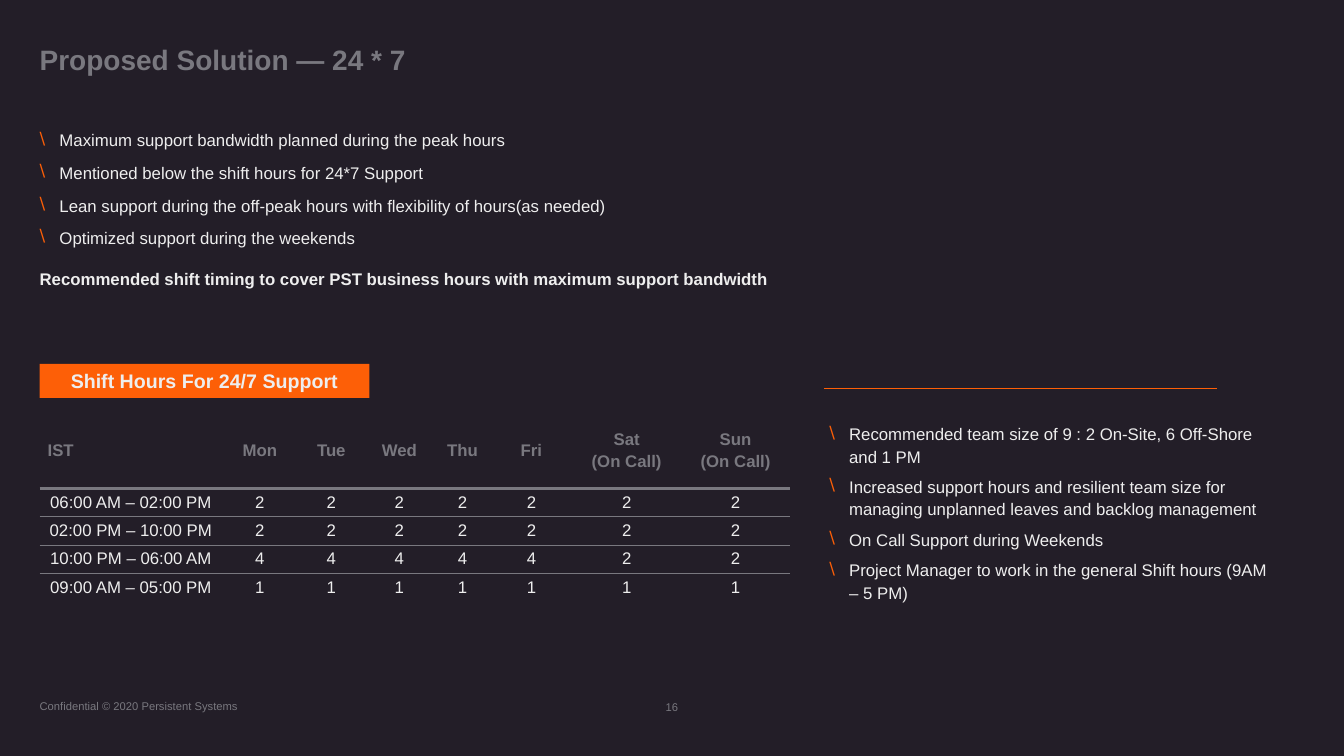
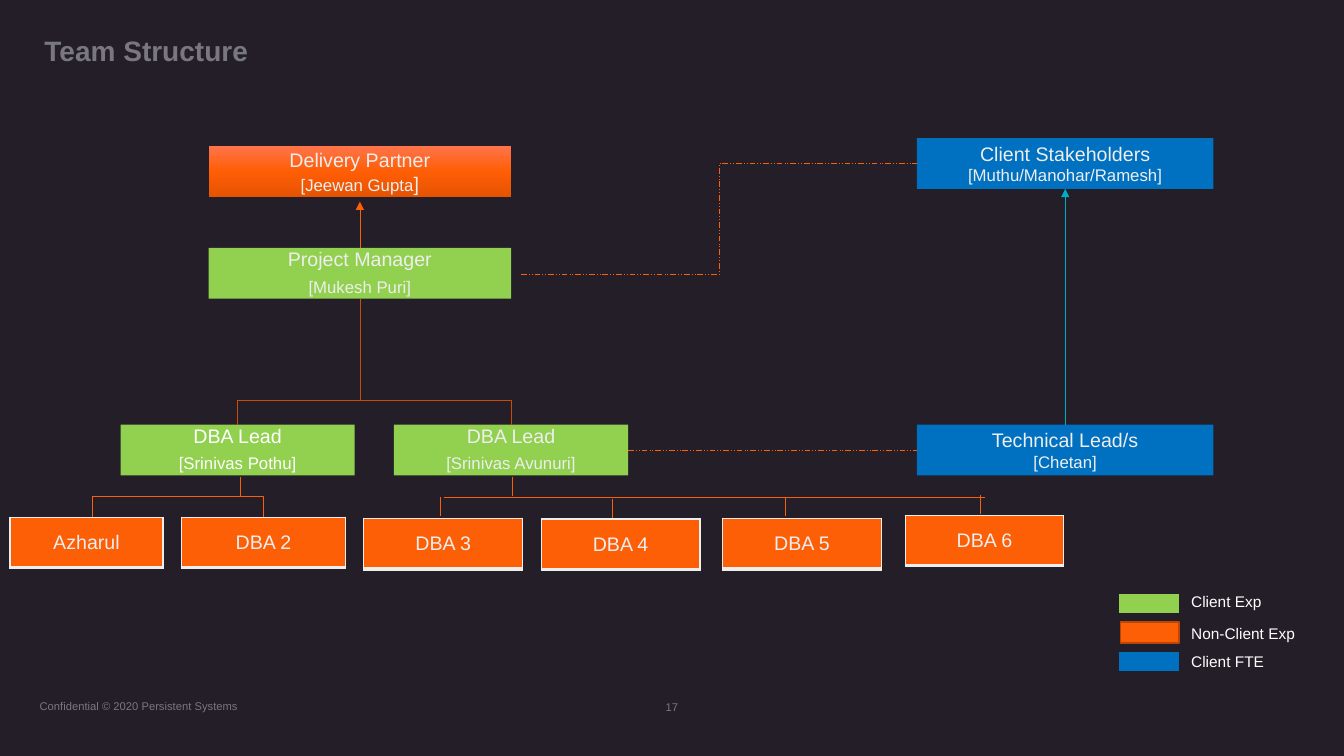
from lxml.etree import SubElement
from copy import deepcopy
from pptx import Presentation
from pptx.dml.color import RGBColor
from pptx.enum.dml import MSO_LINE
from pptx.enum.shapes import MSO_CONNECTOR, MSO_SHAPE
from pptx.enum.text import MSO_ANCHOR, PP_ALIGN
from pptx.oxml.ns import qn
from pptx.util import Cm, Pt

BACKGROUND, GREY, LIGHT, WHITE = "231E28", "79787F", "EEEEEE", "FFFFFF"
ORANGE, DARK_ORANGE, GREEN, BLUE, TEAL = "FD5F07", "CB4C06", "92D050", "0070C0", "00ADC6"
color = RGBColor.from_string
LEFT, CENTER = PP_ALIGN.LEFT, PP_ALIGN.CENTER
TOP, MIDDLE = MSO_ANCHOR.TOP, MSO_ANCHOR.MIDDLE


def write(owner, lines, size=12, ink=LIGHT, bold=False, align=LEFT, anchor=TOP,
          margins=(0, 0), spacing=1, gap=0, bullet=False):
    frame = owner.text_frame
    frame.word_wrap = True
    box = owner if hasattr(owner, "margin_left") else frame
    box.margin_left = box.margin_right = Cm(margins[0])
    box.margin_top = box.margin_bottom = Cm(margins[1])
    box.vertical_anchor = anchor
    for line in lines:
        first = not frame.text
        paragraph = frame.paragraphs[0] if first else frame.add_paragraph()
        if bullet:
            properties = paragraph._p.get_or_add_pPr()
            properties.set("marL", str(Cm(0.5)))
            properties.set("indent", str(-Cm(0.5)))
            bullet_color = SubElement(properties, qn("a:buClr"))
            SubElement(bullet_color, qn("a:srgbClr")).set("val", ORANGE)
            SubElement(properties, qn("a:buChar")).set("char", "\\")
        paragraph.alignment = align
        paragraph.line_spacing = spacing
        paragraph.space_before = Pt(0 if first else gap)
        for text, run_size in [(line, size)] if isinstance(line, str) else line:
            run = paragraph.add_run()
            run.text = text
            run.font.name = "Arial"
            run.font.size = Pt(run_size)
            run.font.bold = bold
            run.font.color.rgb = color(ink)


def add_borders(cell, ink, widths):
    properties = cell._tc.get_or_add_tcPr()
    for side, width in widths:
        border = SubElement(properties, qn("a:ln" + side))
        border.set("w", str(Pt(width)))
        fill = SubElement(border, qn("a:solidFill"))
        SubElement(fill, qn("a:srgbClr")).set("val", ink)


presentation = Presentation()
presentation.slide_width = Cm(33.87)
presentation.slide_height = Cm(19.05)

slides = []
for number, title, left, top in [
    ("16", "Proposed Solution — 24 * 7", 1, 1.06),
    ("17", "Team Structure", 1.12, 0.82),
]:
    slide = presentation.slides.add_slide(presentation.slide_layouts[6])
    slide.background.fill.solid()
    slide.background.fill.fore_color.rgb = color(BACKGROUND)
    title_box = slide.shapes.add_textbox(Cm(left), Cm(top), Cm(15), Cm(1))
    write(title_box, [title], 20, GREY, bold=True, anchor=MIDDLE, spacing=0.9)
    footer = slide.shapes.add_textbox(Cm(1), Cm(17.62), Cm(5.5), Cm(0.33))
    write(footer, ["Confidential © 2020 Persistent Systems"], 8, GREY)
    page_number = slide.shapes.add_textbox(Cm(13.12), Cm(17.3), Cm(7.62), Cm(1.02))
    write(page_number, [number], 8, GREY, align=CENTER, anchor=MIDDLE)
    slides.append(slide)
support_slide, team_slide = slides

body = support_slide.shapes.add_textbox(Cm(1), Cm(3.18), Cm(31.85), Cm(4.8))
write(body, [
    "Maximum support bandwidth planned during the peak hours",
    "Mentioned below the shift hours for 24*7 Support",
    "Lean support during the off-peak hours with flexibility of hours(as needed)",
    "Optimized support during the weekends",
], spacing=1.2, gap=6, bullet=True)
write(body, ["Recommended shift timing to cover PST business hours with maximum support bandwidth"],
      bold=True, spacing=1.2, gap=12)

staffing = support_slide.shapes.add_textbox(Cm(20.9), Cm(10.64), Cm(11.2), Cm(3.96))
write(staffing, [
    "Recommended team size of 9 : 2 On-Site, 6 Off-Shore and 1 PM",
    "Increased support hours and resilient team size for managing unplanned leaves and backlog management",
    "On Call Support during Weekends",
    "Project Manager to work in the general Shift hours (9AM – 5 PM)",
], spacing=1.1, gap=6, bullet=True)

banner = support_slide.shapes.add_shape(MSO_SHAPE.RECTANGLE, Cm(1), Cm(9.17), Cm(8.31), Cm(0.86))
banner.shadow.inherit = False
banner.fill.solid()
banner.fill.fore_color.rgb = color(ORANGE)
banner.line.fill.background()
write(banner, ["Shift Hours For 24/7 Support"], 14, bold=True, align=CENTER, anchor=MIDDLE)

shift_rows = [
    ["IST", "Mon", "Tue", "Wed", "Thu", "Fri", "Sat|(On Call)", "Sun|(On Call)"],
    ["06:00 AM – 02:00 PM"] + ["2"] * 7,
    ["02:00 PM – 10:00 PM"] + ["2"] * 7,
    ["10:00 PM – 06:00 AM"] + ["4"] * 5 + ["2"] * 2,
    ["09:00 AM – 05:00 PM"] + ["1"] * 7,
]
column_widths = [4.6, 1.9, 1.7, 1.73, 1.45, 2.03, 2.77, 2.72]
table_frame = support_slide.shapes.add_table(
    len(shift_rows), len(column_widths), Cm(1), Cm(10.31), Cm(sum(column_widths)), Cm(4.84))
table_frame.element.xpath(".//a:tableStyleId")[0].text = "{2D5ABB26-0587-4C30-8999-92F81FD0307C}"
shift_table = table_frame.table
shift_table.first_row = shift_table.horz_banding = False
for column, width in zip(shift_table.columns, column_widths):
    column.width = Cm(width)
for row_index, values in enumerate(shift_rows):
    header = row_index == 0
    shift_table.rows[row_index].height = Cm(2 if header else 0.71)
    for column_index, value in enumerate(values):
        cell = shift_table.cell(row_index, column_index)
        write(cell, value.split("|"), ink=GREY if header else LIGHT, bold=header,
              align=LEFT if value == "IST" else CENTER, anchor=MIDDLE,
              margins=(0.2, 0.2) if header else (0.03, 0.01), spacing=1.2 if header else 1)
        widths = []
        if row_index > 0:
            widths.append(("T", 3 if row_index == 1 else 0.5))
        if row_index < len(shift_rows) - 1:
            widths.append(("B", 3 if header else 0.5))
        add_borders(cell, GREY, widths)
        cell.fill.background()

boxes = {}
for key, left, top, width, fill, ink, spacing, gap, lines in [
    ("partner", 5.26, 3.68, 7.62, None, LIGHT, 1, 0,
     ["Delivery Partner", [("[Jeewan Gupta", 12), ("]", 14)]]),
    ("manager", 5.26, 6.25, 7.62, GREEN, LIGHT, 0.9, 5.6,
     ["Project Manager", [("[Mukesh Puri]", 12)]]),
    ("first lead", 3.04, 10.7, 5.9, GREEN, WHITE, 0.9, 5.6,
     ["DBA Lead", [("[Srinivas Pothu]", 12)]]),
    ("second lead", 9.93, 10.7, 5.9, GREEN, LIGHT, 0.9, 5.6,
     ["DBA Lead", [("[Srinivas Avunuri]", 12)]]),
    ("stakeholders", 23.11, 3.48, 7.47, BLUE, LIGHT, 1, 0,
     ["Client Stakeholders", [("[Muthu/Manohar/Ramesh]", 12)]]),
    ("technical lead", 23.11, 10.7, 7.47, BLUE, LIGHT, 1, 0,
     ["Technical Lead/s", [("[Chetan]", 12)]]),
]:
    box = team_slide.shapes.add_shape(MSO_SHAPE.RECTANGLE, Cm(left), Cm(top), Cm(width), Cm(1.28))
    box.shadow.inherit = False
    box.line.fill.background()
    if fill:
        box.fill.solid()
        box.fill.fore_color.rgb = color(fill)
    else:
        box.fill.gradient()
        box.fill.gradient_angle = 270
        stop_list = box.element.xpath(".//a:gsLst")[0]
        stop_list.append(deepcopy(stop_list[0]))
        for stop, position, shade in zip(
                box.fill.gradient_stops, (0, 0.5, 1), ("FF744B", "FF5E05", "E55302")):
            stop.position = position
            stop.color.rgb = color(shade)
    write(box, lines, 14, ink, align=CENTER, anchor=MIDDLE, margins=(0.03, 0.03),
          spacing=spacing, gap=gap)
    boxes[key] = box

for name, left, top, width in [
    ("Azharul", 0.25, 13.03, 3.86),
    ("DBA 2", 4.57, 13.03, 4.14),
    ("DBA 3", 9.17, 13.06, 4),
    ("DBA 4", 13.64, 13.08, 4),
    ("DBA 5", 18.21, 13.06, 4),
    ("DBA 6", 22.81, 12.98, 4),
]:
    member = team_slide.shapes.add_table(1, 1, Cm(left), Cm(top), Cm(width), Cm(1.27)).table
    member.first_row = member.horz_banding = False
    cell = member.cell(0, 0)
    write(cell, [name], 14, align=CENTER, anchor=MIDDLE, margins=(0.25, 0.13))
    add_borders(cell, LIGHT, [("L", 1), ("R", 1), ("T", 1), ("B", 3)])
    cell.fill.solid()
    cell.fill.fore_color.rgb = color(ORANGE)

for label, label_top, left, top, width, fill, outline in [
    ("Client Exp", 14.78, 28.19, 14.94, 1.55, GREEN, BACKGROUND),
    ("Non-Client Exp", 15.6, 28.24, 15.67, 1.47, ORANGE, "BB4605"),
    ("Client FTE", 16.31, 28.19, 16.41, 1.55, BLUE, BACKGROUND),
]:
    swatch = team_slide.shapes.add_shape(MSO_SHAPE.RECTANGLE, Cm(left), Cm(top), Cm(width), Cm(0.53))
    swatch.shadow.inherit = False
    swatch.fill.solid()
    swatch.fill.fore_color.rgb = color(fill)
    swatch.line.color.rgb = color(outline)
    swatch.line.width = Pt(1)
    label_box = team_slide.shapes.add_textbox(Cm(29.77), Cm(label_top), Cm(4), Cm(0.73))
    write(label_box, [label], 11, WHITE, margins=(0.25, 0.13))

for ink, start, *points in [
    (DARK_ORANGE, (9.07, 7.53), (9.07, 10.08), (12.88, 10.08), (12.88, 10.7)),
    (DARK_ORANGE, (9.07, 7.53), (9.07, 10.08), (5.99, 10.08), (5.99, 10.7)),
    (ORANGE, (6.05, 12.5), (2.34, 12.5), (2.34, 13.03)),
    (ORANGE, (6.05, 12.01), (6.05, 12.52), (6.63, 12.52), (6.63, 13.03)),
]:
    builder = team_slide.shapes.build_freeform(Cm(start[0]), Cm(start[1]))
    builder.add_line_segments([(Cm(x), Cm(y)) for x, y in points], close=False)
    branch = builder.convert_to_shape()
    branch.shadow.inherit = False
    branch.fill.background()
    branch.line.color.rgb = color(ink)
    branch.line.width = Pt(0.5)

STRAIGHT, ELBOW = MSO_CONNECTOR.STRAIGHT, MSO_CONNECTOR.ELBOW
for slide, kind, start, end, ink, dashed, arrow, begin_joint, end_joint in [
    (support_slide, STRAIGHT, (20.76, 9.78), (30.66, 9.78), ORANGE, False, False, None, None),
    (team_slide, STRAIGHT, (9.07, 6.25), (9.07, 5.08), ORANGE, False, True, ("manager", 0), None),
    (team_slide, STRAIGHT, (15.83, 11.34), (23.11, 11.34), ORANGE, True, False,
     ("second lead", 3), ("technical lead", 1)),
    (team_slide, ELBOW, (13.13, 6.91), (23.11, 4.12), ORANGE, True, False, None, None),
    (team_slide, STRAIGHT, (26.85, 10.7), (26.85, 4.76), TEAL, False, True,
     ("technical lead", 0), ("stakeholders", 2)),
    (team_slide, STRAIGHT, (11.18, 12.52), (24.82, 12.52), ORANGE, False, False, None, None),
    (team_slide, STRAIGHT, (12.9, 12.01), (12.9, 12.5), ORANGE, False, False, None, None),
] + [
    (team_slide, STRAIGHT, (x, y), (x, y + 0.48), ORANGE, False, False, None, None)
    for x, y in [(11.1, 12.52), (15.42, 12.57), (19.79, 12.52), (24.71, 12.47)]
]:
    connector = slide.shapes.add_connector(kind, Cm(start[0]), Cm(start[1]), Cm(end[0]), Cm(end[1]))
    if begin_joint:
        connector.begin_connect(boxes[begin_joint[0]], begin_joint[1])
    if end_joint:
        connector.end_connect(boxes[end_joint[0]], end_joint[1])
    connector.line.color.rgb = color(ink)
    connector.line.width = Pt(0.5)
    if dashed:
        connector.line.dash_style = MSO_LINE.DASH_DOT_DOT
    if arrow:
        SubElement(connector.line._get_or_add_ln(), qn("a:tailEnd")).set("type", "triangle")
    SubElement(connector.element.spPr, qn("a:effectLst"))

presentation.save("out.pptx")
